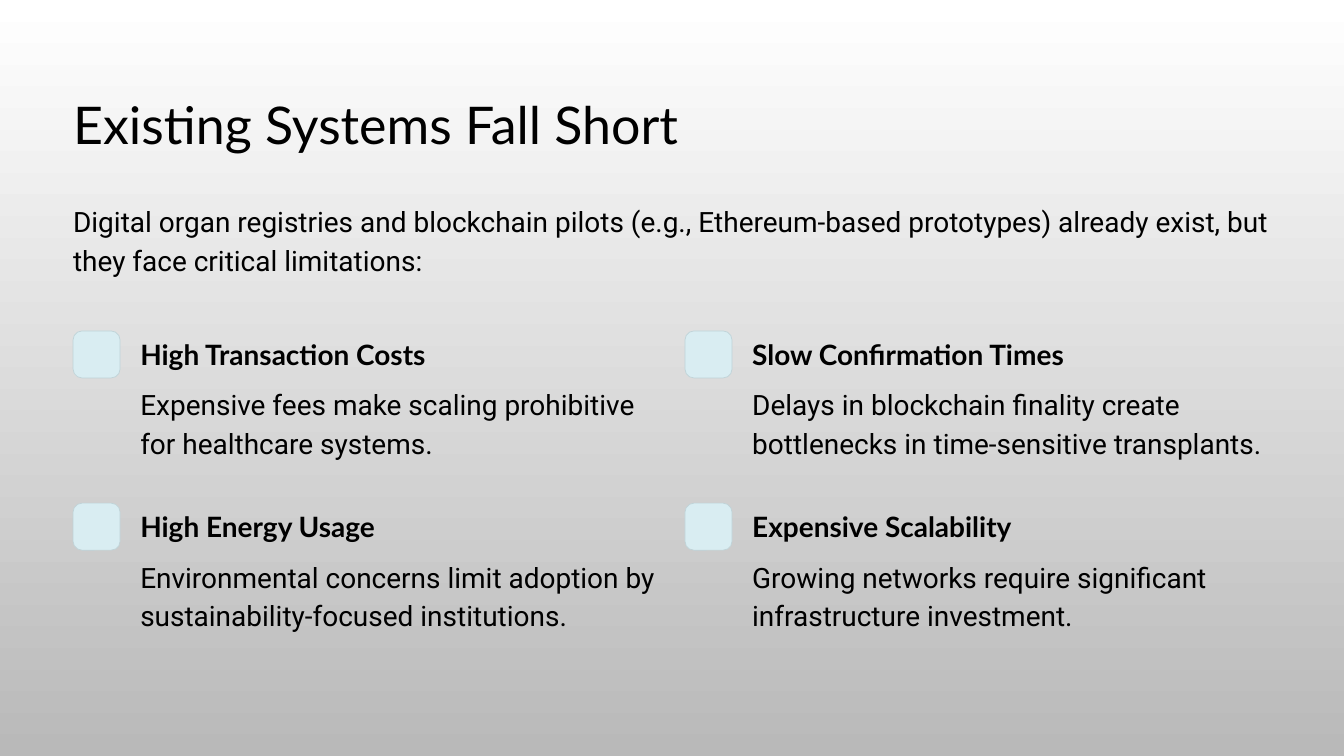
from pptx import Presentation
from pptx.dml.color import RGBColor
from pptx.enum.shapes import MSO_SHAPE
from pptx.enum.text import MSO_ANCHOR, MSO_AUTO_SIZE, PP_ALIGN
from pptx.util import Inches, Pt

LEFT = 0.87
COLUMN_STEP = 7.285
FIRST_ROW = 3.94
ROW_STEP = 2.05
MARKER_SIZE = 0.56
LIMITATIONS = [
    ("High Transaction Costs",
     "Expensive fees make scaling prohibitive for healthcare systems."),
    ("Slow Confirmation Times",
     "Delays in blockchain finality create bottlenecks in time-sensitive transplants."),
    ("High Energy Usage",
     "Environmental concerns limit adoption by sustainability-focused institutions."),
    ("Expensive Scalability",
     "Growing networks require significant infrastructure investment."),
]


def color(hex_code):
    return RGBColor.from_string(hex_code)


def write_text(shape, text, font="Roboto", size=24, line=33, bold=False, wrap=True):
    frame = shape.text_frame
    frame.margin_left = frame.margin_right = 0
    frame.margin_top = frame.margin_bottom = 0
    frame.auto_size = MSO_AUTO_SIZE.NONE
    frame.vertical_anchor = MSO_ANCHOR.TOP
    frame.word_wrap = wrap
    paragraph = frame.paragraphs[0]
    paragraph.alignment = PP_ALIGN.LEFT
    paragraph.line_spacing = Pt(line)
    run = paragraph.add_run()
    run.text = text
    run.font.name = font
    run.font.size = Pt(size)
    run.font.bold = bold
    run.font.color.rgb = color("000000")


def add_text(slide, text, left, top, width, height, **text_format):
    box = slide.shapes.add_textbox(
        Inches(left), Inches(top), Inches(width), Inches(height))
    write_text(box, text, **text_format)


def add_marker(slide, left, top):
    marker = slide.shapes.add_shape(
        MSO_SHAPE.ROUNDED_RECTANGLE, Inches(left), Inches(top),
        Inches(MARKER_SIZE), Inches(MARKER_SIZE))
    marker.adjustments[0] = 0.19
    marker.shadow.inherit = False
    marker.fill.solid()
    marker.fill.fore_color.rgb = color("D9EDF2")
    marker.line.color.rgb = color("BFD3D8")
    marker.line.width = Pt(0.6)


def add_limitation(slide, heading, description, left, top):
    add_marker(slide, left, top)
    text_left = left + 0.8
    add_text(slide, heading, text_left, top + 0.09, 3.54, 0.39,
             font="Lato", line=27.5, bold=True, wrap=False)
    add_text(slide, description, text_left, top + 0.62, 6.17, 0.93)


def set_background(slide, top_color, bottom_color):
    fill = slide.background.fill
    fill.gradient()
    fill.gradient_angle = 270
    for stop, position, hex_code in zip(
            fill.gradient_stops, (0, 1), (top_color, bottom_color)):
        stop.position = position
        stop.color.rgb = color(hex_code)


def set_title(slide, text):
    title = slide.shapes.title
    title.left, title.top = Inches(LEFT), Inches(1.07)
    title.width, title.height = Inches(7.61), Inches(0.78)
    write_text(title, text, font="Lato", size=44.5, line=55.5, wrap=False)


def main():
    presentation = Presentation()
    presentation.slide_width = Inches(16)
    presentation.slide_height = Inches(9)
    slide = presentation.slides.add_slide(presentation.slide_layouts[5])

    set_background(slide, "FFFFFF", "B9B9B9")
    set_title(slide, "Existing Systems Fall Short")
    add_text(slide,
             "Digital organ registries and blockchain pilots (e.g., Ethereum-based "
             "prototypes) already exist, but they face critical limitations:",
             LEFT, 2.38, 14.26, 0.93)
    for index, (heading, description) in enumerate(LIMITATIONS):
        row, column = divmod(index, 2)
        add_limitation(slide, heading, description,
                       LEFT + column * COLUMN_STEP, FIRST_ROW + row * ROW_STEP)

    presentation.save("out.pptx")


if __name__ == "__main__":
    main()
